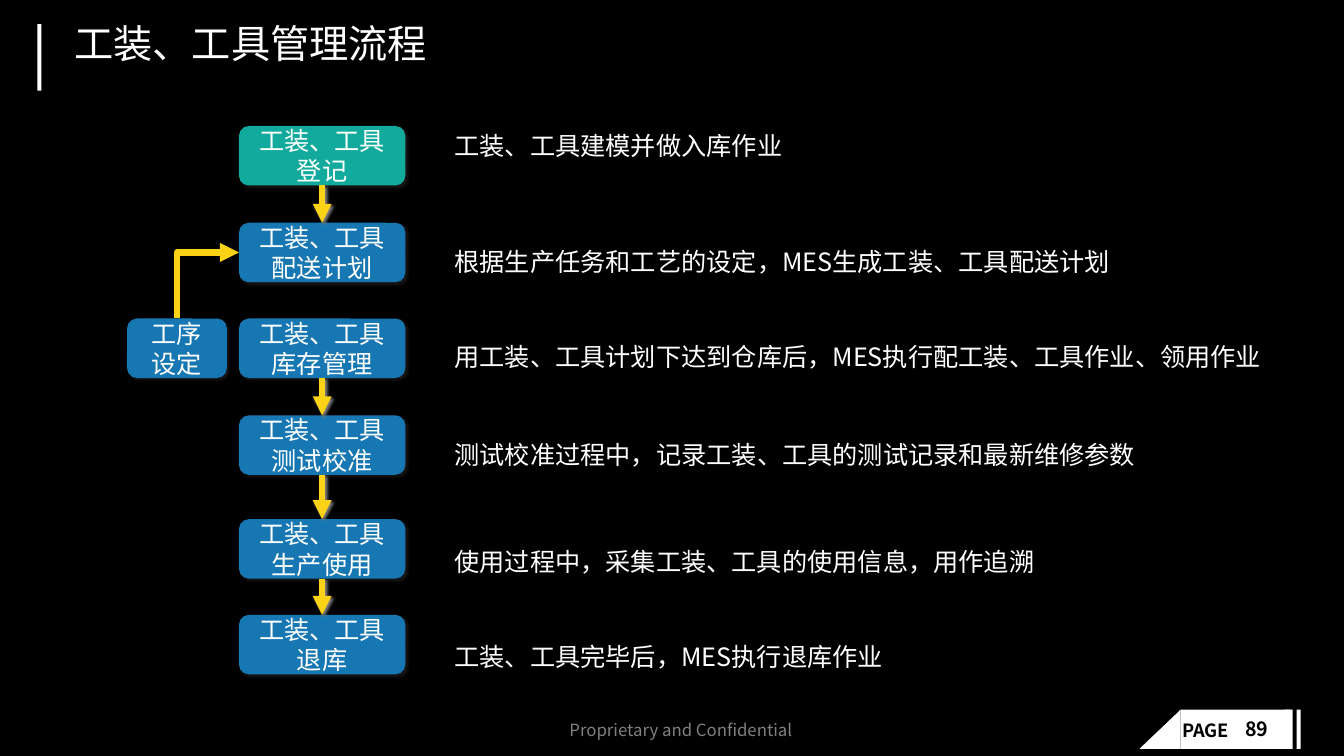
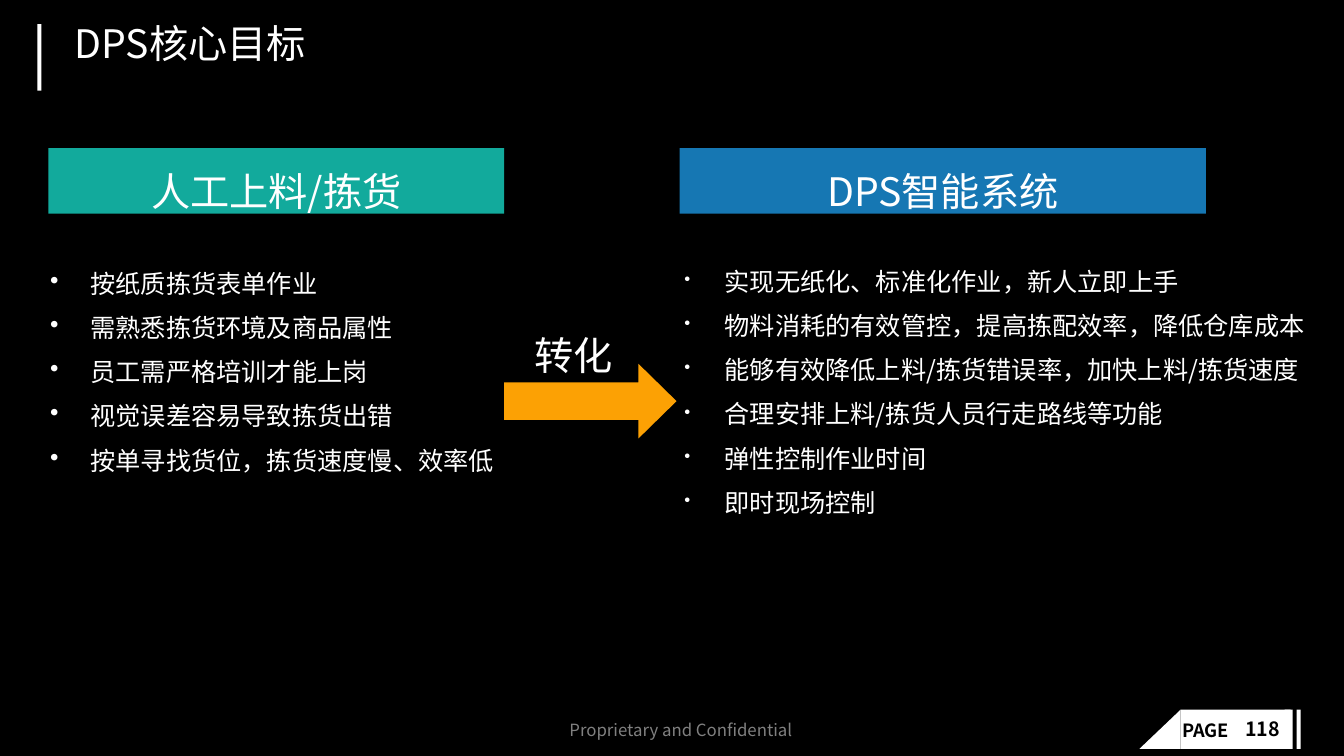
"""Build two dark slides on tool management and picking goals."""
from dataclasses import dataclass
from typing import Optional

from lxml.etree import SubElement
from pptx import Presentation
from pptx.dml.color import RGBColor
from pptx.enum.shapes import MSO_CONNECTOR, MSO_SHAPE
from pptx.enum.text import MSO_ANCHOR, PP_ALIGN
from pptx.oxml.ns import qn
from pptx.util import Inches, Pt

FONT = "Noto Sans CJK SC"
BLACK = RGBColor(0x00, 0x00, 0x00)
WHITE = RGBColor(0xFF, 0xFF, 0xFF)
GREY = RGBColor(0x80, 0x80, 0x80)
TEAL = RGBColor(0x12, 0xAA, 0x9C)
BLUE = RGBColor(0x16, 0x77, 0xB3)
YELLOW = RGBColor(0xFC, 0xD2, 0x17)
ORANGE = RGBColor(0xFC, 0xA1, 0x04)
BOX_SHADOW = RGBColor(0x18, 0x17, 0x17)

STEP_LEFT, STEP_WIDTH, STEP_HEIGHT = 2.37, 1.65, 0.59
NOTE_LEFT = 4.41
HEADER_TOP, HEADER_HEIGHT = 1.47, 0.65


@dataclass(frozen=True)
class Area:
    """Position and size in inches."""

    left: float
    top: float
    width: float
    height: float

    def lengths(self) -> tuple:
        """Return the four values as lengths."""
        return tuple(Inches(v) for v in (self.left, self.top, self.width, self.height))


@dataclass(frozen=True)
class Style:
    """Look of a piece of text."""

    size: float = 18
    color: RGBColor = WHITE
    bold: bool = False
    align: PP_ALIGN = PP_ALIGN.LEFT
    spacing: float = 1.0
    wrap: bool = True


@dataclass(frozen=True)
class Step:
    """A process step with the note beside it."""

    name: str
    top: float
    note: str
    note_top: float
    note_width: float
    color: RGBColor = BLUE
    spacing: float = 1.5
    linked: bool = True


@dataclass(frozen=True)
class Column:
    """A headed bullet list."""

    header: str
    header_left: float
    header_width: float
    color: RGBColor
    list_area: Area
    items: tuple
    bullet_percent: int = 100


STEP_STYLE = Style(align=PP_ALIGN.CENTER)
TITLE_STYLE = Style(28, spacing=0.9)
HEADER_STYLE = Style(28, align=PP_ALIGN.CENTER, spacing=1.3)

STEPS = (
    Step("工装、工具登记", 1.25, "工装、工具建模并做入库作业", 1.28, 4.75, TEAL, 0.9),
    Step("工装、工具配送计划", 2.21, "根据生产任务和工艺的设定，MES生成工装、工具配送计划",
         2.24, 7.18, linked=False),
    Step("工装、工具库存管理", 3.16,
         "用工装、工具计划下达到仓库后，MES执行配工装、工具作业、领用作业", 3.19, 8.65),
    Step("工装、工具测试校准", 4.12, "测试校准过程中，记录工装、工具的测试记录和最新维修参数",
         4.16, 8.35),
    Step("工装、工具生产使用", 5.15, "使用过程中，采集工装、工具的使用信息，用作追溯", 5.22, 7.94),
    Step("工装、工具退库", 6.1, "工装、工具完毕后，MES执行退库作业", 6.16, 6.46, linked=False),
)

COLUMNS = (
    Column("人工上料/拣货", 0.48, 4.52, TEAL, Area(0.31, 2.61, 5, 4.17), (
        "按纸质拣货表单作业",
        "需熟悉拣货环境及商品属性",
        "员工需严格培训才能上岗",
        "视觉误差容易导致拣货出错",
        "按单寻找货位，拣货速度慢、效率低",
    )),
    Column("DPS智能系统", 6.74, 5.22, BLUE, Area(6.6, 2.59, 6.73, 2.86), (
        "实现无纸化、标准化作业，新人立即上手",
        "物料消耗的有效管控，提高拣配效率，降低仓库成本",
        "能够有效降低上料/拣货错误率，加快上料/拣货速度",
        "合理安排上料/拣货人员行走路线等功能",
        "弹性控制作业时间",
        "即时现场控制",
    ), 70),
)


def format_text(frame, style: Style) -> None:
    """Apply a style to every run of a text frame."""
    frame.word_wrap = style.wrap
    for paragraph in frame.paragraphs:
        paragraph.alignment = style.align
        paragraph.line_spacing = style.spacing
        for span in paragraph.runs:
            span.font.size = Pt(style.size)
            span.font.bold = style.bold
            span.font.name = FONT
            span.font.color.rgb = style.color
            east_asian = SubElement(span.font._element, qn("a:ea"))
            east_asian.set("typeface", FONT)


def add_text(page, area: Area, text: str, style: Style):
    """Add a text box and return it."""
    box = page.shapes.add_textbox(*area.lengths())
    box.text_frame.text = text
    format_text(box.text_frame, style)
    return box


def add_block(page, kind: MSO_SHAPE, area: Area, color: RGBColor, text: str = "",
              style: Style = STEP_STYLE, anchor: MSO_ANCHOR = MSO_ANCHOR.MIDDLE):
    """Add a filled shape without outline and return it."""
    block = page.shapes.add_shape(kind, *area.lengths())
    block.shadow.inherit = False
    block.fill.solid()
    block.fill.fore_color.rgb = color
    block.line.fill.background()
    if text:
        block.text_frame.text = text
        block.text_frame.vertical_anchor = anchor
        format_text(block.text_frame, style)
    return block


def set_shadow(shape, color: Optional[RGBColor]) -> None:
    """Give a shape a small diagonal shadow, or none at all."""
    properties = shape._element.spPr
    effects = properties.find(qn("a:effectLst"))
    if effects is None:
        effects = SubElement(properties, qn("a:effectLst"))
    if color is not None:
        shadow = SubElement(effects, qn("a:outerShdw"), blurRad=str(Pt(2)),
                            dist=str(Pt(2)), dir="2700000", algn="ctr", rotWithShape="0")
        SubElement(shadow, qn("a:srgbClr"), val=str(color))


def style_arrow(connector, shadow: Optional[RGBColor]) -> None:
    """Draw a connector as a thick yellow arrow."""
    connector.line.color.rgb = YELLOW
    connector.line.width = Pt(4.5)
    SubElement(connector.line._get_or_add_ln(), qn("a:tailEnd"), type="triangle")
    set_shadow(connector, shadow)


def add_step_box(page, area: Area, text: str, color: RGBColor):
    """Add a rounded process box and return it."""
    box = add_block(page, MSO_SHAPE.ROUNDED_RECTANGLE, area, color, text)
    set_shadow(box, BOX_SHADOW)
    return box


def add_down_arrow(page, upper, lower) -> None:
    """Join the bottom of one box to the top of the next."""
    arrow = page.shapes.add_connector(MSO_CONNECTOR.STRAIGHT, 0, 0, 0, 0)
    arrow.begin_connect(upper, 2)
    arrow.end_connect(lower, 0)
    style_arrow(arrow, GREY)


def add_bent_arrow(page, start_x: float, start_y: float, end_x: float, end_y: float) -> None:
    """Add an arrow that goes up and then right."""
    center_x, center_y = (start_x + end_x) / 2, (start_y + end_y) / 2
    half_width, half_height = (start_y - end_y) / 2, (end_x - start_x) / 2
    arrow = page.shapes.add_connector(
        MSO_CONNECTOR.ELBOW,
        Inches(center_x + half_width), Inches(center_y + half_height),
        Inches(center_x - half_width), Inches(center_y - half_height))
    properties = arrow._element.spPr
    properties.find(qn("a:xfrm")).set("rot", "5400000")
    properties.find(qn("a:prstGeom")).set("prst", "bentConnector2")
    style_arrow(arrow, None)


def add_bullet(paragraph, percent: int) -> None:
    """Give a paragraph a hanging white bullet."""
    properties = paragraph._p.get_or_add_pPr()
    properties.set("marL", str(Inches(0.49)))
    properties.set("indent", str(Inches(-0.4)))
    bullet_color = SubElement(properties, qn("a:buClr"))
    SubElement(bullet_color, qn("a:srgbClr"), val=str(WHITE))
    SubElement(properties, qn("a:buSzPct"), val=str(percent * 1000))
    SubElement(properties, qn("a:buChar"), char="•")


def add_page(deck, title: str, number: int):
    """Add a slide with the shared background, title and footer."""
    page = deck.slides.add_slide(deck.slide_layouts[6])
    page.background.fill.solid()
    page.background.fill.fore_color.rgb = BLACK
    for left, width in ((11.71, 1.09), (12.74, 0.08), (12.86, 0.04)):
        add_block(page, MSO_SHAPE.RECTANGLE, Area(left, 7.04, width, 0.39), WHITE)
    corner = add_block(page, MSO_SHAPE.RIGHT_TRIANGLE, Area(11.3, 7.04, 0.41, 0.39), WHITE)
    corner._element.spPr.find(qn("a:xfrm")).set("flipH", "1")
    add_text(page, Area(11.63, 7.09, 0.73, 0.32), "PAGE", Style(13, BLACK, True, wrap=False))
    add_text(page, Area(12.25, 7.09, 0.58, 0.32), str(number),
             Style(14, BLACK, True, spacing=0.9))
    add_text(page, Area(5.55, 7.09, 2.56, 0.3), "Proprietary and Confidential", Style(12, GREY))
    add_block(page, MSO_SHAPE.RECTANGLE, Area(0.37, 0.24, 0.04, 0.66), WHITE)
    add_text(page, Area(0.64, 0.2, 12.32, 0.7), title, TITLE_STYLE)
    return page


def build_process_page(deck) -> None:
    """Build the tool management flow."""
    page = add_page(deck, "工装、工具管理流程", 89)
    boxes = []
    for step in STEPS:
        area = Area(STEP_LEFT, step.top, STEP_WIDTH, STEP_HEIGHT)
        boxes.append(add_step_box(page, area, step.name, step.color))
        add_text(page, Area(NOTE_LEFT, step.note_top, step.note_width, 0.47), step.note,
                 Style(spacing=step.spacing))
    for step, upper, lower in zip(STEPS, boxes, boxes[1:]):
        if step.linked:
            add_down_arrow(page, upper, lower)
    setting = Area(1.26, STEPS[2].top, 0.99, STEP_HEIGHT)
    add_bent_arrow(page, setting.left + setting.width / 2, setting.top,
                   STEP_LEFT, STEPS[1].top + STEP_HEIGHT / 2)
    add_step_box(page, setting, "工序\n设定", BLUE)


def build_goals_page(deck) -> None:
    """Build the comparison of manual work and the new system."""
    page = add_page(deck, "DPS核心目标", 118)
    for column in COLUMNS:
        header = Area(column.header_left, HEADER_TOP, column.header_width, HEADER_HEIGHT)
        add_block(page, MSO_SHAPE.RECTANGLE, header, column.color, column.header,
                  HEADER_STYLE, MSO_ANCHOR.TOP)
        box = add_text(page, column.list_area, "\n".join(column.items), Style())
        for index, paragraph in enumerate(box.text_frame.paragraphs):
            add_bullet(paragraph, column.bullet_percent)
            if index:
                paragraph.space_before = Pt(10)
    arrow = add_block(page, MSO_SHAPE.RIGHT_ARROW, Area(5, 3.61, 1.71, 0.74), ORANGE)
    arrow.adjustments[1] = 0.51
    add_text(page, Area(5.2, 3.1, 0.99, 0.65), "转化", Style(28, spacing=1.3, wrap=False))


def main() -> None:
    """Create and save the deck."""
    deck = Presentation()
    deck.slide_width, deck.slide_height = Inches(13.33), Inches(7.5)
    build_process_page(deck)
    build_goals_page(deck)
    deck.save("out.pptx")


if __name__ == "__main__":
    main()
